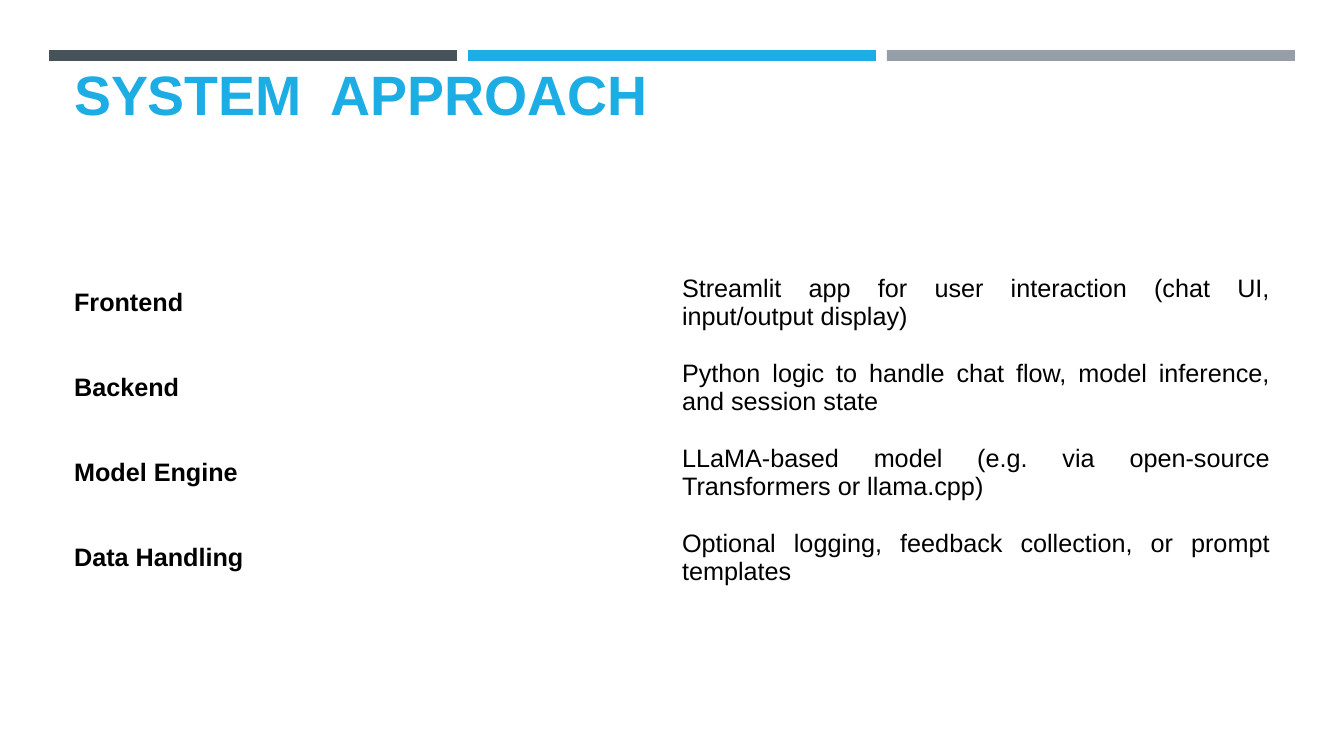
from pptx import Presentation
from pptx.dml.color import RGBColor
from pptx.enum.shapes import MSO_SHAPE
from pptx.enum.text import MSO_ANCHOR, MSO_AUTO_SIZE, PP_ALIGN
from pptx.util import Pt

RECTANGLE = MSO_SHAPE.RECTANGLE
BOTTOM, MIDDLE = MSO_ANCHOR.BOTTOM, MSO_ANCHOR.MIDDLE
LEFT, JUSTIFY = PP_ALIGN.LEFT, PP_ALIGN.JUSTIFY
NO_AUTOFIT = MSO_AUTO_SIZE.NONE

TITLE = "SYSTEM  APPROACH"
COMPONENTS = [
    ("Frontend", "Streamlit app for user interaction (chat UI, input/output display)"),
    ("Backend", "Python logic to handle chat flow, model inference, and session state"),
    ("Model Engine", "LLaMA-based model (e.g. via open-source Transformers or llama.cpp)"),
    ("Data Handling", "Optional logging, feedback collection, or prompt templates"),
]
BAR_COLORS = ["465359", "1CADE4", "969FA7"]

EMU_PER_PX = 914400 / 100.8
SLIDE_WIDTH, SLIDE_HEIGHT = 1344, 756
BAR_LEFT, BAR_TOP, BAR_WIDTH, BAR_HEIGHT, BAR_STEP = 49, 50, 408, 11, 419
CONTENT_LEFT, CONTENT_WIDTH = 64, 1216
TITLE_TOP, TITLE_HEIGHT = 74, 58
TABLE_TOP, ROW_HEIGHT = 260, 85


def px(length):
    return round(length * EMU_PER_PX)


def color(hex_string):
    return RGBColor.from_string(hex_string)


def write(text_frame, text, size=18, hex_color="000000", bold=False, align=LEFT):
    paragraph = text_frame.paragraphs[0]
    paragraph.alignment = align
    run = paragraph.add_run()
    run.text = text
    run.font.name = "Arial"
    run.font.size = Pt(size)
    run.font.bold = bold
    run.font.color.rgb = color(hex_color)


def add_bars(slide):
    for index, bar_color in enumerate(BAR_COLORS):
        bar = slide.shapes.add_shape(
            RECTANGLE, px(BAR_LEFT + index * BAR_STEP), px(BAR_TOP),
            px(BAR_WIDTH), px(BAR_HEIGHT))
        bar.shadow.inherit = False
        bar.fill.solid()
        bar.fill.fore_color.rgb = color(bar_color)
        bar.line.fill.background()


def add_title(slide):
    title = slide.shapes.title
    title.left, title.top = px(CONTENT_LEFT), px(TITLE_TOP)
    title.width, title.height = px(CONTENT_WIDTH), px(TITLE_HEIGHT)
    frame = title.text_frame
    frame.auto_size = NO_AUTOFIT
    frame.word_wrap = True
    frame.vertical_anchor = BOTTOM
    write(frame, TITLE, size=39.6, hex_color="1CADE4", bold=True)


def add_component_table(slide):
    row_count, column_count = len(COMPONENTS), len(COMPONENTS[0])
    table = slide.shapes.add_table(
        row_count, column_count, px(CONTENT_LEFT), px(TABLE_TOP),
        px(CONTENT_WIDTH), px(ROW_HEIGHT * row_count)).table
    table.first_row = False
    table.horz_banding = False
    for row_index, component in enumerate(COMPONENTS):
        for column_index, text in enumerate(component):
            cell = table.cell(row_index, column_index)
            cell.fill.background()
            cell.vertical_anchor = MIDDLE
            write(cell.text_frame, text, bold=column_index == 0, align=JUSTIFY)


def main():
    presentation = Presentation()
    presentation.slide_width = px(SLIDE_WIDTH)
    presentation.slide_height = px(SLIDE_HEIGHT)
    slide = presentation.slides.add_slide(presentation.slide_layouts[5])
    add_bars(slide)
    add_title(slide)
    add_component_table(slide)
    presentation.save("out.pptx")


if __name__ == "__main__":
    main()
